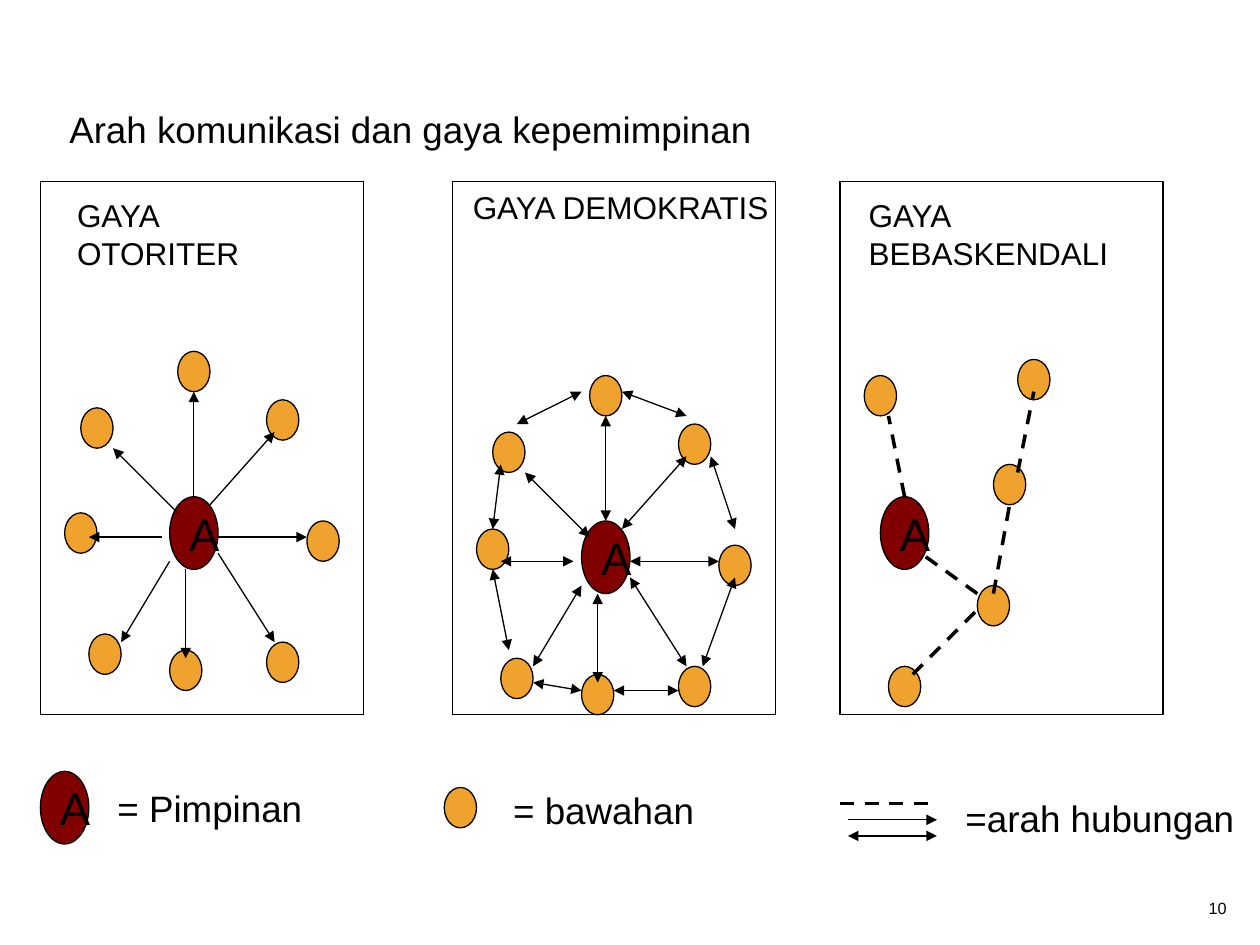
import pptx
import pptx.util
import pptx.dml.color
import pptx.enum.dml
import pptx.enum.shapes
import pptx.enum.text
import pptx.oxml.ns
from lxml import etree

COLORS = {"ink": "000000", "leader": "800000", "worker": "F0A22E"}
COLORS = {name: pptx.dml.color.RGBColor.from_string(code) for name, code in COLORS.items()}
SHAPES = pptx.enum.shapes.MSO_SHAPE
ALIGN = pptx.enum.text.PP_ALIGN

deck = pptx.Presentation()
deck.slide_width, deck.slide_height = pptx.util.Inches(10), pptx.util.Inches(7.5)
page = deck.slides.add_slide(deck.slide_layouts[5])

# The slide is 156 columns by 117 rows of square cells
CELL = deck.slide_width / 156


def write(box, text, size, align=ALIGN.LEFT, wrap=True):
    frame = box.text_frame
    frame.word_wrap = wrap
    frame.auto_size = pptx.enum.text.MSO_AUTO_SIZE.NONE
    frame.text = text
    para = frame.paragraphs[0]
    para.alignment = align
    para.font.name, para.font.size = "Arial", pptx.util.Pt(size)
    para.font.color.rgb = COLORS["ink"]
    return frame


def link(start_col, start_row, end_col, end_row, style):
    ends = [round(cell * CELL) for cell in (start_col, start_row + 0.5, end_col, end_row + 0.5)]
    connector = page.shapes.add_connector(pptx.enum.shapes.MSO_CONNECTOR.STRAIGHT, *ends)
    connector.line.color.rgb = COLORS["ink"]
    connector.line.width = pptx.util.Pt(2 if style == "dash" else 0.75)
    if style == "dash":
        connector.line.dash_style = pptx.enum.dml.MSO_LINE.DASH
    outline = connector.line._get_or_add_ln()
    for end in {"dash": [], "one": ["a:tailEnd"], "both": ["a:headEnd", "a:tailEnd"]}[style]:
        etree.SubElement(outline, pptx.oxml.ns.qn(end), type="triangle")
    etree.SubElement(connector._element.spPr, pptx.oxml.ns.qn("a:effectLst"))


# Title
title = page.shapes.title
title.left, title.top = pptx.util.Inches(0.45), pptx.util.Inches(0.8)
title.width, title.height = pptx.util.Inches(6.6), pptx.util.Inches(0.45)
write(title, "Arah komunikasi dan gaya kepemimpinan", 21).vertical_anchor = pptx.enum.text.MSO_ANCHOR.TOP

# Panels and legend: (column, row)
leaders = [(109, 61), (5, 95)]
workers = [(107, 46), (121, 72), (110, 82), (126, 44), (123, 57),
           (8, 63), (59, 65), (55, 97)]
links = []

# Star of a leader and seven workers, used by the first two panels
star_workers = [(21, 80), (11, 78), (33, 79), (10, 50), (33, 49), (38, 64), (22, 43)]
spokes = [(23, 70, 23, 81), (27, 66, 38, 66), (20, 66, 11, 66), (24, 61, 24, 48),
          (26, 62, 34, 53), (22, 63, 14, 55), (21, 69, 15, 79), (27, 68, 34, 79)]
for right, down, style in [(0, 0, "one"), (51, 3, "both")]:
    leaders.append((21 + right, 61 + down))
    workers += [(col + right, row + down) for col, row in star_workers]
    links += [(c1 + right, r1 + down, c2 + right, r2 + down, style) for c1, r1, c2, r2 in spokes]

# Ring between the workers of the democratic panel
ring = [(61, 70, 63, 80), (77, 48, 85, 51), (88, 56, 91, 65), (62, 57, 61, 65),
        (72, 48, 64, 52), (91, 71, 87, 82), (84, 85, 76, 85), (66, 84, 72, 85)]
links += [(*ends, "both") for ends in ring]

# Loose chain of the free-rein panel, then the legend lines
chain = [(112, 61, 110, 51), (113, 83, 121, 75), (123, 73, 125, 62),
         (126, 58, 128, 48), (121, 73, 114, 68)]
links += [(*ends, "dash") for ends in chain]
links += [(104, 99, 116, 99, "dash"), (105, 101, 116, 101, "one"), (105, 103, 116, 103, "both")]

# Panel frames, leaders and workers
parts = [(SHAPES.RECTANGLE, col, 22, 40, 66, None) for col in (5, 56, 104)]
parts += [(SHAPES.OVAL, col, row, 6, 9, "leader") for col, row in leaders]
parts += [(SHAPES.OVAL, col, row, 4, 5, "worker") for col, row in workers]
for kind, col, row, width, height, role in parts:
    shape = page.shapes.add_shape(
        kind, *[round(cell * CELL) for cell in (col, row + 0.5, width, height)])
    shape.shadow.inherit = False
    shape.line.color.rgb = COLORS["ink"]
    shape.line.width = pptx.util.Pt(0.75)
    if role:
        shape.fill.solid()
        shape.fill.fore_color.rgb = COLORS[role]
    else:
        shape.fill.background()
    if role == "leader":
        write(shape, "A", 26, wrap=False).vertical_anchor = pptx.enum.text.MSO_ANCHOR.MIDDLE

for ends in links:
    link(*ends)

# Panel headings, legend labels and page number: column, row, width, height
labels = [
    ("GAYA OTORITER", 18, 8, 23, 33, 11, ALIGN.LEFT),
    ("GAYA DEMOKRATIS", 18, 57, 22, 40, 11, ALIGN.LEFT),
    ("GAYA BEBASKENDALI", 18, 106, 23, 40, 11, ALIGN.LEFT),
    ("= Pimpinan", 21, 13, 96, 26, 7, ALIGN.LEFT),
    ("= bawahan", 21, 62, 96.25, 26, 7, ALIGN.LEFT),
    ("=arah hubungan", 21, 118, 97.25, 38, 7, ALIGN.LEFT),
    ("10", 9.3, 140.4, 110, 13, 4.2, ALIGN.RIGHT),
]
for text, size, col, row, width, height, align in labels:
    box = page.shapes.add_textbox(
        *[round(cell * CELL) for cell in (col, row + 0.5, width, height)])
    write(box, text, size, align)

deck.save("out.pptx")
